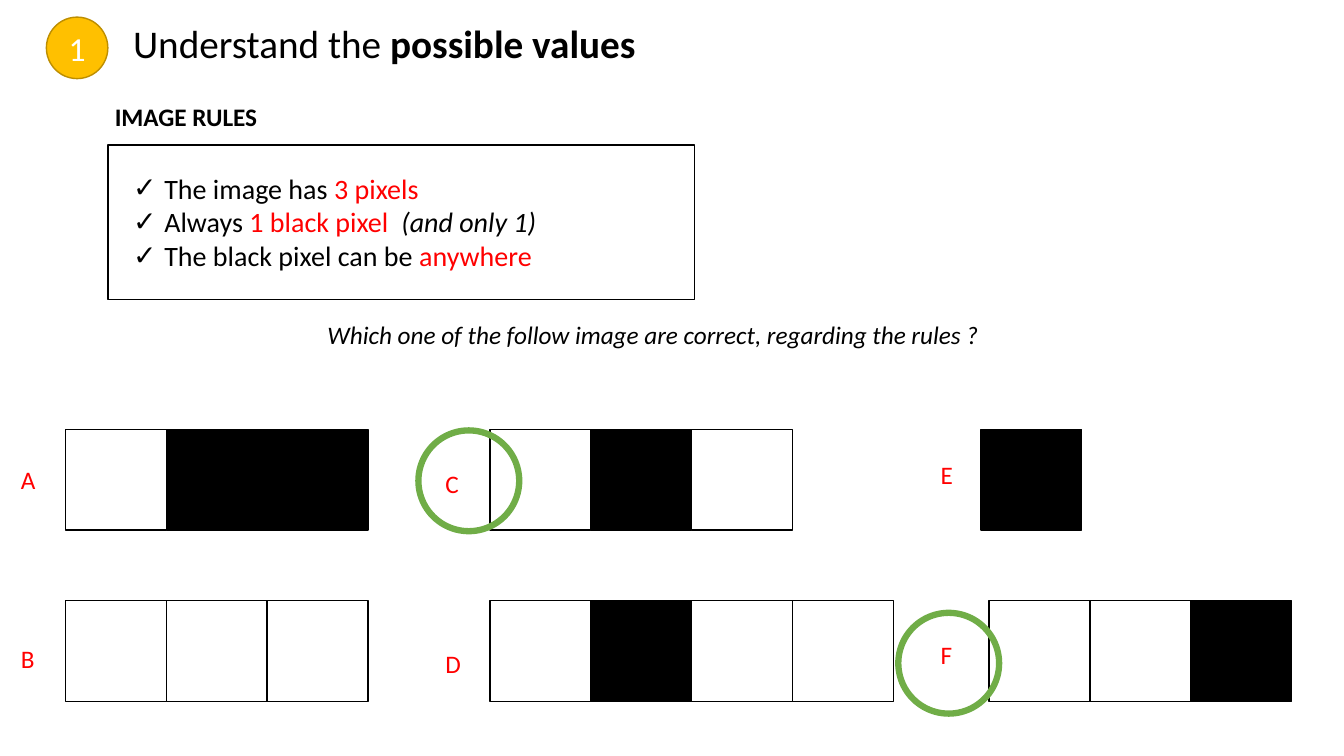
from pptx import Presentation
from pptx import util as u
from pptx.dml.color import RGBColor
from pptx.enum import shapes, text
from pptx.oxml import parse_xml
from pptx.oxml.ns import nsdecls

FONT = "Calibri"
BLACK, WHITE, RED = "000000", "FFFFFF", "FF0000"
GREEN, AMBER, OCHRE = "70AD47", "FFC000", "BD8E00"

# One grid unit is the side of one square pixel.
COLUMNS, ROWS = 13.33, 7.5
UPPER, LOWER = 4.26, 5.96

# Label, label position, strip position, pixels (B black, W white)
STRIPS = [
    ("A", (0.11, 4.56), (0.65, UPPER), "WBB"),
    ("B", (0.11, 6.33), (0.65, LOWER), "WWW"),
    ("C", (4.32, 4.6), (4.86, UPPER), "WBW"),
    ("D", (4.32, 6.38), (4.86, LOWER), "WBWW"),
    ("E", (9.23, 4.51), (9.73, UPPER), "B"),
    ("F", (9.23, 6.29), (9.81, LOWER), "WWB"),
]
CORRECT_MARKS = [(4.15, 4.27), (8.91, 6.08)]

RULES = [
    [("The image has ", BLACK, False), ("3 pixels", RED, False)],
    [("Always ", BLACK, False), ("1 black pixel  ", RED, False),
     ("(and only 1)", BLACK, True)],
    [("The black pixel can be ", BLACK, False), ("anywhere", RED, False)],
]


def color(hex_value):
    return RGBColor.from_string(hex_value)


def grid(*units):
    """Turn grid units into slide lengths."""
    return [u.Inches(unit) for unit in units]


def add_run(paragraph, words, size, hex_value=BLACK, bold=False, italic=False):
    run = paragraph.add_run()
    run.text = words
    font = run.font
    font.name, font.size = FONT, u.Pt(size)
    font.bold, font.italic = bold, italic
    font.color.rgb = color(hex_value)


def add_outline(slide, kind, box, line, width=1, fill=None):
    shape = slide.shapes.add_shape(kind, *grid(*box))
    shape.shadow.inherit = False
    if fill:
        shape.fill.solid()
        shape.fill.fore_color.rgb = color(fill)
    else:
        shape.fill.background()
    shape.line.color.rgb = color(line)
    shape.line.width = u.Pt(width)
    return shape


def add_label(slide, box, words, wrap=True, **style):
    frame = slide.shapes.add_textbox(*grid(*box)).text_frame
    frame.word_wrap = wrap
    add_run(frame.paragraphs[0], words, 18, **style)


def place(placeholder, box):
    """Move a placeholder and let its text start at the top left."""
    placeholder.left, placeholder.top, placeholder.width, placeholder.height = grid(*box)
    frame = placeholder.text_frame
    frame.auto_size = text.MSO_AUTO_SIZE.NONE
    frame.vertical_anchor = text.MSO_ANCHOR.TOP
    return frame


def add_check_bullet(paragraph):
    properties = paragraph._p.get_or_add_pPr()
    indent = u.Inches(0.31)
    properties.set("marL", str(indent))
    properties.set("indent", str(-indent))
    properties.append(parse_xml(f'<a:buChar {nsdecls("a")} char="✓"/>'))


def add_heading(slide):
    paragraph = place(slide.shapes.title, (1.22, 0.14, 5.45, 0.57)).paragraphs[0]
    paragraph.alignment = text.PP_ALIGN.LEFT
    add_run(paragraph, "Understand the ", 28)
    add_run(paragraph, "possible values", 28, bold=True)

    badge = add_outline(slide, shapes.MSO_SHAPE.OVAL, (0.46, 0.17, 0.61, 0.61),
                        OCHRE, fill=AMBER)
    badge.text_frame.vertical_anchor = text.MSO_ANCHOR.MIDDLE
    number = badge.text_frame.paragraphs[0]
    number.alignment = text.PP_ALIGN.CENTER
    add_run(number, "1", 24, WHITE)


def add_rules(slide):
    add_label(slide, (1.04, 0.96, 1.63, 0.4), "IMAGE RULES", wrap=False, bold=True)
    add_outline(slide, shapes.MSO_SHAPE.RECTANGLE, (1.07, 1.44, 5.82, 1.53), BLACK)
    frame = place(slide.placeholders[1], (1.22, 1.65, 5.23, 1.11))
    for index, rule in enumerate(RULES):
        paragraph = frame.add_paragraph() if index else frame.paragraphs[0]
        paragraph.space_before = u.Pt(0)
        add_check_bullet(paragraph)
        for words, hex_value, italic in rule:
            add_run(paragraph, words, 20, hex_value, italic=italic)


def add_strip(slide, label, label_at, strip_at, pixels):
    left, top = strip_at
    for column, pixel in enumerate(pixels):
        add_outline(slide, shapes.MSO_SHAPE.RECTANGLE, (left + column, top, 1, 1),
                    BLACK, fill=BLACK if pixel == "B" else WHITE)
    add_label(slide, (*label_at, 0.35, 0.4), label, hex_value=RED)


def main():
    presentation = Presentation()
    presentation.slide_width, presentation.slide_height = grid(COLUMNS, ROWS)
    slide = presentation.slides.add_slide(presentation.slide_layouts[1])
    add_heading(slide)
    add_rules(slide)
    add_label(slide, (3.15, 3.12, 7.26, 0.4),
              "Which one of the follow image are correct, regarding the rules ?",
              italic=True)
    for strip in STRIPS:
        add_strip(slide, *strip)
    for left, top in CORRECT_MARKS:
        add_outline(slide, shapes.MSO_SHAPE.OVAL, (left, top, 1, 1), GREEN, width=4.5)
    presentation.save("out.pptx")


if __name__ == "__main__":
    main()
